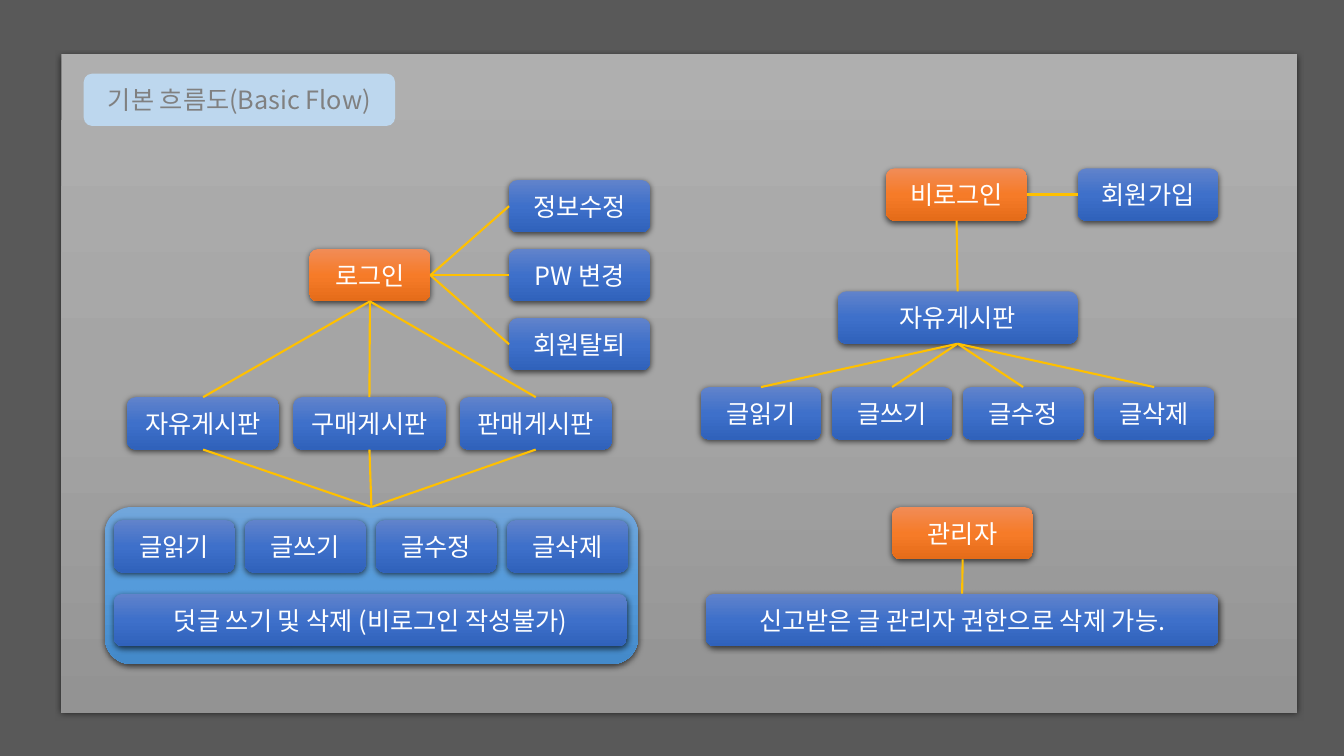
from copy import deepcopy
from lxml import etree
from pptx import Presentation
from pptx import util as u
from pptx.dml.color import RGBColor
from pptx.enum import shapes, text
from pptx.oxml.ns import qn

# Grid: ten columns and ten rows to the inch
CELL = u.Inches(0.1)
COLS, ROWS = 133.33, 75
TALL = 5.2      # rows of a box
POST = 12       # columns of a post box
MENU = 14       # columns of a menu box
FONT = "Noto Sans CJK KR"

BACK = RGBColor(0x59, 0x59, 0x59)
PALE = RGBColor(0xBD, 0xD7, 0xEE)
GRAY = RGBColor(0x80, 0x80, 0x80)
WHITE = RGBColor(0xFF, 0xFF, 0xFF)
GOLD = RGBColor(0xFF, 0xC0, 0x00)
STEEL = [RGBColor(0xAF, 0xAF, 0xAF), RGBColor(0xA5, 0xA5, 0xA5), RGBColor(0x93, 0x93, 0x93)]
ORANGE = [RGBColor(0xF1, 0x8C, 0x57), RGBColor(0xF6, 0x7B, 0x28), RGBColor(0xE5, 0x6C, 0x19)]
BLUE = [RGBColor(0x61, 0x83, 0xCB), RGBColor(0x3E, 0x70, 0xCA), RGBColor(0x30, 0x62, 0xBB)]
SKY = [RGBColor(0x71, 0xA6, 0xDB), RGBColor(0x55, 0x9B, 0xDB), RGBColor(0x44, 0x8A, 0xCA)]

TOP, LEFT, BOTTOM, RIGHT = range(4)
POSTS = ["글읽기", "글쓰기", "글수정", "글삭제"]


def grid(*cells):
    return [round(cell * CELL) for cell in cells]


def shade(shape, tones):
    """Fill from top to bottom with three tones."""
    fill = shape.fill
    fill.gradient()
    fill.gradient_angle = 270
    stops = shape._element.spPr.find(".//" + qn("a:gsLst"))
    stops.append(deepcopy(stops[0]))
    for stop, tone, place in zip(fill.gradient_stops, tones, (0, 0.5, 1)):
        stop.color.rgb = tone
        stop.position = place


def lift(shape):
    """Cast a soft shadow downwards."""
    effect = shape._element.spPr.find(qn("a:effectLst"))
    outer = etree.SubElement(effect, qn("a:outerShdw"), blurRad=str(u.Pt(4.5)),
                             dist=str(u.Pt(1.5)), dir="5400000", algn="ctr", rotWithShape="0")
    black = etree.SubElement(outer, qn("a:srgbClr"), val="000000")
    etree.SubElement(black, qn("a:alpha"), val="63000")


def panel(slide, area, tones, kind=shapes.MSO_SHAPE.ROUNDED_RECTANGLE):
    shape = slide.shapes.add_shape(kind, *grid(*area))
    shape.shadow.inherit = False
    shape.line.fill.background()
    if isinstance(tones, list):
        shade(shape, tones)
        lift(shape)
    else:
        shape.fill.solid()
        shape.fill.fore_color.rgb = tones
    return shape


def box(slide, label, col, row, wide, tones=BLUE, ink=WHITE):
    shape = panel(slide, (col, row, wide, TALL), tones)
    frame = shape.text_frame
    frame.vertical_anchor = text.MSO_ANCHOR.MIDDLE
    para = frame.paragraphs[0]
    para.text = label
    para.alignment = text.PP_ALIGN.CENTER
    font = para.font
    font.size = u.Pt(18)
    font.color.rgb = ink
    font.name = FONT
    etree.SubElement(font._element, qn("a:ea"), typeface=FONT)
    return shape


def row_of(slide, labels, col, row, wide, step):
    return [box(slide, label, col + i * step, row, wide) for i, label in enumerate(labels)]


def link(slide, start, side, end, other):
    line = slide.shapes.add_connector(shapes.MSO_CONNECTOR.STRAIGHT, 0, 0, 0, 0)
    line.begin_connect(start, side)
    line.end_connect(end, other)
    line.line.color.rgb = GOLD
    line.line.width = u.Pt(1.5)
    etree.SubElement(line._element.spPr, qn("a:effectLst"))


def member(slide):
    """Flow of a user who has logged in."""
    login = box(slide, "로그인", 30.7, 24.7, POST, ORANGE)
    for i, label in enumerate(["정보수정", "PW 변경", "회원탈퇴"]):
        item = box(slide, label, 50.5, 17.85 + i * 6.85, MENU)
        link(slide, login, RIGHT, item, LEFT)

    boards = row_of(slide, ["자유게시판", "구매게시판", "판매게시판"], 12.6, 39.4, 15.1, 16.5)
    tray = panel(slide, (10.4, 50.3, 52.9, 15.6), SKY)
    tray.adjustments[0] = 0.17
    for board in boards:
        link(slide, login, BOTTOM, board, TOP)
        link(slide, board, BOTTOM, tray, TOP)
    row_of(slide, POSTS, 11.3, 51.6, POST, 13)
    box(slide, "덧글 쓰기 및 삭제 (비로그인 작성불가)", 11.3, 58.9, 50.9)


def guest(slide):
    """Flow of a user who has not logged in."""
    visit = box(slide, "비로그인", 87.9, 16.7, MENU, ORANGE)
    join = box(slide, "회원가입", 106.9, 16.7, MENU)
    board = box(slide, "자유게시판", 83.1, 28.9, 23.8)
    link(slide, visit, RIGHT, join, LEFT)
    link(slide, visit, BOTTOM, board, TOP)
    for post in row_of(slide, POSTS, 69.5, 38.4, POST, 13):
        link(slide, board, BOTTOM, post, TOP)


def admin(slide):
    """Flow of the administrator."""
    chief = box(slide, "관리자", 88.5, 50.3, MENU, ORANGE)
    task = box(slide, "신고받은 글 관리자 권한으로 삭제 가능.", 70, 58.9, 50.9)
    link(slide, chief, BOTTOM, task, TOP)


def main():
    deck = Presentation()
    deck.slide_width, deck.slide_height = grid(COLS, ROWS)
    slide = deck.slides.add_slide(deck.slide_layouts[6])
    slide.background.fill.solid()
    slide.background.fill.fore_color.rgb = BACK

    # Board and title
    panel(slide, (6.1, 5.4, 122.6, 65.3), STEEL, shapes.MSO_SHAPE.RECTANGLE)
    box(slide, "기본 흐름도(Basic Flow)", 8.3, 7.3, 30.9, PALE, GRAY)

    # The three flows
    member(slide)
    guest(slide)
    admin(slide)
    deck.save("out.pptx")


if __name__ == "__main__":
    main()
